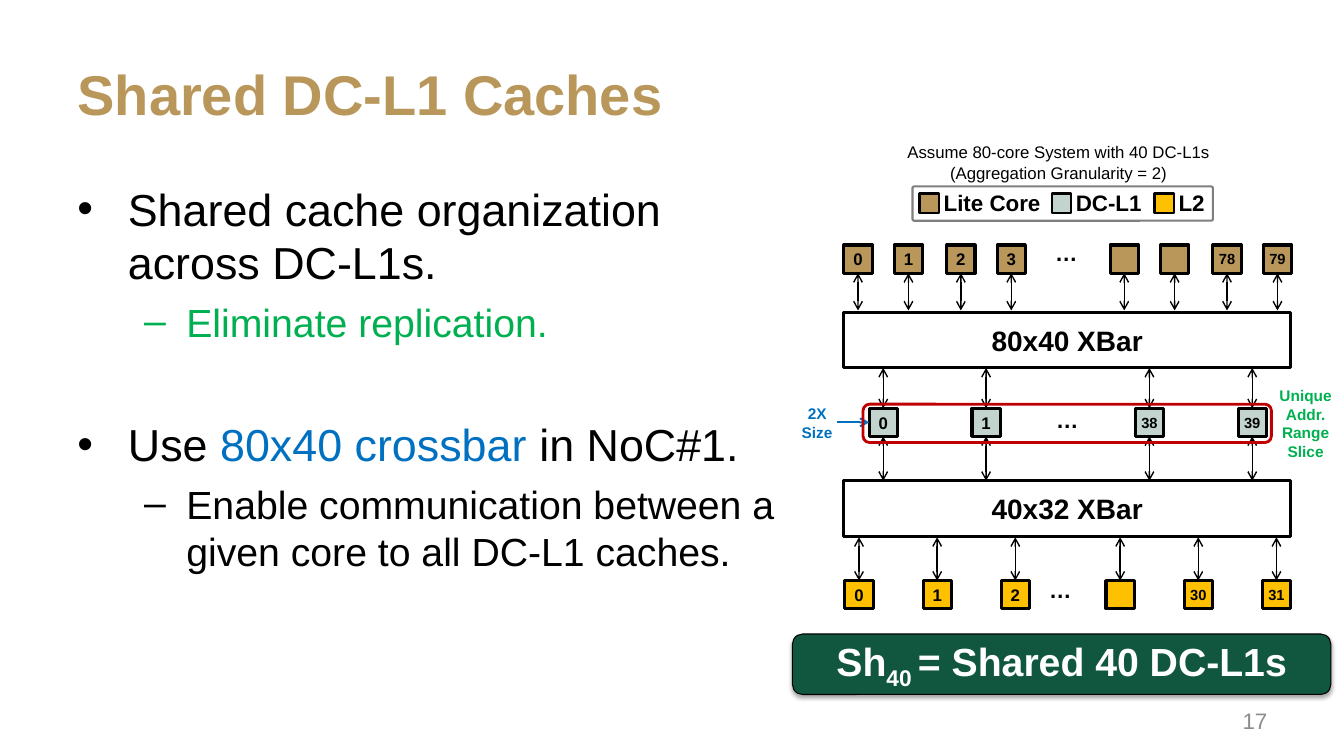
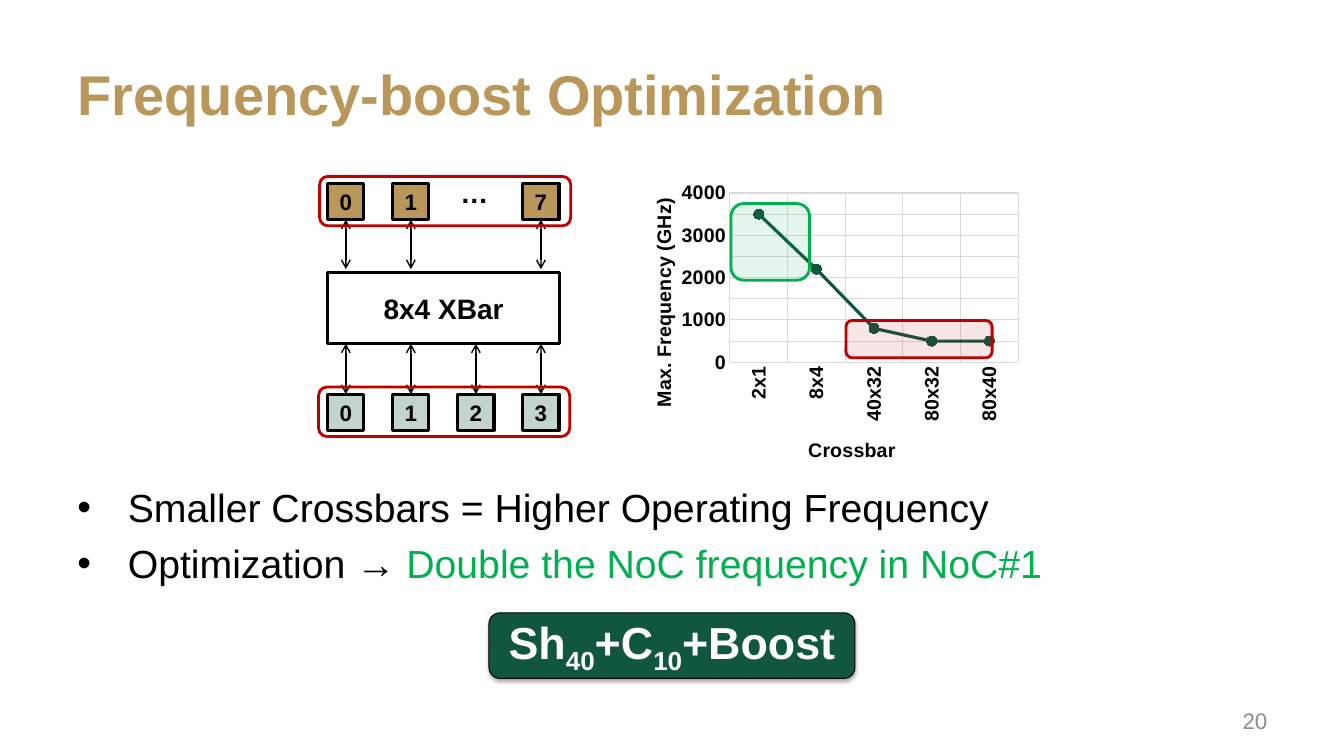
from copy import deepcopy

from lxml import etree
from pptx import Presentation
from pptx import util as u
from pptx.chart import data
from pptx.dml import color
from pptx.enum import chart as charts, shapes, text
from pptx.oxml.ns import qn

FONT = "Arial"
BLACK, WHITE, GRAY = "000000", "FFFFFF", "8C8C8C"
GOLD, FOREST, AMBER = "B9975B", "115740", "FFC000"
GREEN, BLUE, RED, GRID = "00B050", "0070C0", "C00000", "D9D9D9"
LEFT, CENTER, RIGHT = (text.PP_ALIGN.LEFT, text.PP_ALIGN.CENTER,
                       text.PP_ALIGN.RIGHT)
RECT, ROUND = shapes.MSO_SHAPE.RECTANGLE, shapes.MSO_SHAPE.ROUNDED_RECTANGLE
TOP, SIDE, BOTTOM = 0, 1, 2
CACHE = (FOREST, 25)  # colour and opacity in percent


def rgb(value):
    return color.RGBColor.from_string(value)


def add_xml(parent, tag, **values):
    return etree.SubElement(parent, qn(tag), values)


def set_layout(element, index, **values):
    """Place a chart part by fractions of the chart area."""
    old = element.find(qn("c:layout"))
    if old is not None:
        element.remove(old)
    layout = etree.Element(qn("c:layout"))
    element.insert(index, layout)
    manual = add_xml(layout, "c:manualLayout")
    for name, value in values.items():
        add_xml(manual, f"c:{name}", val=str(value))


class Slides:
    def __init__(self):
        self.deck = Presentation()
        self.deck.slide_width = u.Inches(13.33)
        self.deck.slide_height = u.Inches(7.5)
        self.page = None

    def new_page(self, title, number):
        self.page = self.deck.slides.add_slide(self.deck.slide_layouts[5])
        box = self.page.shapes.title
        places = dict(left=0.67, top=0.3, width=12, height=1.25)
        for name, value in places.items():
            setattr(box, name, u.Inches(value))
        box.text_frame.vertical_anchor = text.MSO_ANCHOR.MIDDLE
        self.put_lines(box.text_frame, [title], LEFT, size=40, ink=GOLD)
        self.label([number], 9.56, 6.95, 3.01, 0.4, align=RIGHT, size=16,
                   bold=False, ink=GRAY)

    # Text
    def put_line(self, para, line, align=CENTER, **style):
        """A line is a string or a list of (text, style changes)."""
        para.alignment = align
        spans = [(line, {})] if isinstance(line, str) else line
        for words, changes in spans:
            look = {"name": FONT, "bold": True, "ink": BLACK,
                    **style, **changes}
            span = para.add_run()
            span.text = words
            span.font.color.rgb = rgb(look.pop("ink"))
            if look.pop("sub", False):
                span.font._element.set("baseline", "-25000")
            look["size"] = u.Pt(look["size"])
            for name, value in look.items():
                setattr(span.font, name, value)

    def put_lines(self, frame, lines, align=CENTER, **style):
        for index, line in enumerate(lines):
            para = frame.add_paragraph() if index else frame.paragraphs[0]
            self.put_line(para, line, align, **style)

    def no_margins(self, frame):
        for side in ("left", "top", "right", "bottom"):
            setattr(frame, f"margin_{side}", 0)
        frame.word_wrap = True
        frame.vertical_anchor = text.MSO_ANCHOR.MIDDLE

    def label(self, lines, left, top, width, height, align=CENTER, **style):
        box = self.page.shapes.add_textbox(
            *map(u.Inches, (left, top, width, height)))
        self.no_margins(box.text_frame)
        self.put_lines(box.text_frame, lines, align, **style)

    def bullets(self, items, left, top, width, height):
        """Each item is (line, level, size, space before or None)."""
        box = self.page.shapes.add_textbox(
            *map(u.Inches, (left, top, width, height)))
        frame = box.text_frame
        frame.word_wrap = True
        for index, (line, level, size, gap) in enumerate(items):
            para = frame.add_paragraph() if index else frame.paragraphs[0]
            para.level = level
            para.space_before = u.Pt(gap or round(size * 0.23, 1))
            indent, hang, mark = [(0.5, 0.5, "•"), (1.08, 0.42, "–")][level]
            props = para._p.get_or_add_pPr()
            props.set("marL", str(u.Inches(indent)))
            props.set("indent", str(-u.Inches(hang)))
            add_xml(props, "a:buFont", typeface=FONT)
            add_xml(props, "a:buChar", char=mark)
            self.put_line(para, line, LEFT, size=size, bold=False)

    # Shapes
    def block(self, left, top, width, height, kind=RECT, fill=None,
              line=BLACK, weight=2.25, lines=(), **style):
        box = self.page.shapes.add_shape(
            kind, *map(u.Inches, (left, top, width, height)))
        box.shadow.inherit = False
        box.line.color.rgb = rgb(line)
        box.line.width = u.Pt(weight)
        if fill is None:
            box.fill.background()
        else:
            ink, opacity = fill if isinstance(fill, tuple) else (fill, 100)
            box.fill.solid()
            box.fill.fore_color.rgb = rgb(ink)
            if opacity < 100:
                solid = box._element.spPr.find(qn("a:solidFill"))
                add_xml(solid[0], "a:alpha", val=str(opacity * 1000))
        self.no_margins(box.text_frame)
        self.put_lines(box.text_frame, lines, **style)
        return box

    def frame(self, left, top, width, height, line=RED, fill=None):
        return self.block(left, top, width, height, ROUND, fill, line, 2)

    def banner(self, spans, left, top, width, height, size):
        box = self.block(left, top, width, height, ROUND, FOREST, weight=0.75,
                         lines=[spans], size=size, ink=WHITE)
        effects = box._element.spPr.find(qn("a:effectLst"))
        shadow = add_xml(effects, "a:outerShdw", blurRad=str(u.Pt(3.1)),
                         dist=str(u.Pt(1.8)), dir="5400000", rotWithShape="0")
        shade = add_xml(shadow, "a:srgbClr", val=BLACK)
        add_xml(shade, "a:alpha", val="35000")

    def arrow(self, x1, y1, x2, y2, ink=BLACK, weight=1, both=True):
        line = self.page.shapes.add_connector(
            shapes.MSO_CONNECTOR.STRAIGHT, *map(u.Inches, (x1, y1, x2, y2)))
        line.line.color.rgb = rgb(ink)
        line.line.width = u.Pt(weight)
        ends = line.line._get_or_add_ln()
        if both:
            add_xml(ends, "a:headEnd", type="arrow")
        add_xml(ends, "a:tailEnd", type="arrow")
        add_xml(line._element.spPr, "a:effectLst")
        return line

    def node_row(self, labels, lefts, top, side, fill, size, up=None,
                 down=None):
        """Square nodes, with arrows up and down to the given heights."""
        nodes = []
        for name, left in zip(labels, lefts):
            node = self.block(left, top, side, side, fill=fill,
                              lines=[name] if name else [],
                              size=size if len(name) < 2 else 10.5)
            middle = left + side / 2
            for end, start, site in ((up, top, TOP),
                                     (down, top + side, BOTTOM)):
                if end is not None:
                    line = self.arrow(middle, start, middle, end)
                    line.begin_connect(node, site)
            nodes.append(node)
        return nodes

    # Chart
    def line_chart(self, names, values, left, top, width, height):
        source = data.CategoryChartData()
        source.categories = names
        source.add_series("Series 1", values)
        chart = self.page.shapes.add_chart(
            charts.XL_CHART_TYPE.LINE_MARKERS,
            *map(u.Inches, (left, top, width, height)), source).chart
        chart.has_legend = chart.has_title = False
        look = dict(name=FONT, size=u.Pt(14), bold=True)
        for name, value in look.items():
            setattr(chart.font, name, value)
        chart.font.color.rgb = rgb(BLACK)
        chart.plots[0].vary_by_categories = False
        set_layout(chart._chartSpace.chart.plotArea, 0, layoutTarget="inner",
                   xMode="edge", yMode="edge", x=0.265, y=0.055, w=0.715,
                   h=0.56)

        series = chart.plots[0].series[0]
        series.smooth = False
        series.format.line.color.rgb = rgb(FOREST)
        series.format.line.width = u.Pt(2.25)
        series.marker.style = charts.XL_MARKER_STYLE.CIRCLE
        series.marker.size = 7
        series.marker.format.fill.solid()
        series.marker.format.fill.fore_color.rgb = rgb(FOREST)
        series.marker.format.line.color.rgb = rgb(FOREST)

        across, upward = chart.category_axis, chart.value_axis
        for axis, title, x, y, turn in (
                (across, "Crossbar", 0.45, 0.85, 0),
                (upward, "Max. Frequency (GHz)", 0.06, 0.06, -5400000)):
            axis.major_tick_mark = charts.XL_TICK_MARK.NONE
            axis.has_major_gridlines = True
            grid = axis.major_gridlines.format.line
            grid.color.rgb = rgb(GRID)
            grid.width = u.Pt(0.75)
            axis.format.line.fill.background()
            frame = axis.axis_title.text_frame
            self.put_lines(frame, [title], size=14)
            frame._txBody.bodyPr.set("rot", str(turn))
            set_layout(axis.axis_title._element, 1, xMode="edge",
                       yMode="edge", x=x, y=y)
        across.tick_labels.font.size = u.Pt(14)
        labels = across._element.find(qn("c:txPr"))
        labels.find(qn("a:bodyPr")).set("rot", "-5400000")
        limits = dict(minimum_scale=0, maximum_scale=4000, major_unit=1000,
                      minor_unit=500, has_minor_gridlines=True)
        for name, value in limits.items():
            setattr(upward, name, value)
        major, minor = (upward._element.find(qn(f"c:{kind}Gridlines"))
                        for kind in ("major", "minor"))
        minor.append(deepcopy(major.find(qn("c:spPr"))))


def shared_caches(slides):
    slides.new_page("Shared DC-L1 Caches", "17")
    slides.bullets([
        ("Shared cache organization across DC-L1s.", 0, 32, None),
        ([("Eliminate replication.", {"ink": GREEN})], 1, 28, None),
        ([("Use ", {}), ("80x40 crossbar", {"ink": BLUE}),
          (" in NoC#1.", {})], 0, 32, 51.5),
        ("Enable communication between a given core to all DC-L1 caches.",
         1, 28, None)], 0.67, 1.75, 7.11, 5.01)

    # Caption and legend
    slides.label(["Assume 80-core System with 40 DC-L1s",
                  "(Aggregation Granularity = 2)"],
                 8, 1.36, 5, 0.5, size=12, bold=False)
    legend = slides.block(9.05, 1.85, 2.98, 0.34, ROUND, line="7F7F7F",
                          weight=1.5)
    legend.adjustments[0] = 0.05
    for name, left, fill in (("Lite Core", 9.12, GOLD),
                             ("DC-L1", 10.43, CACHE), ("L2", 11.45, AMBER)):
        slides.block(left, 1.92, 0.19, 0.19, fill=fill, weight=1.5)
        slides.label([name], left + 0.24, 1.82, 1.1, 0.37, LEFT, size=16)

    # Cores, caches and memory slices around two crossbars
    side, halves = 0.28, (8.37, 11.01)
    pairs = [half + step for half in halves for step in (0, 1.02)]
    cores = [pair + step for pair in pairs for step in (0, 0.5)]
    slices = [half + 0.775 * step for half in (8.38, 10.97)
              for step in range(3)]
    slides.node_row(["0", "1", "2", "3", "", "", "78", "79"], cores, 2.43,
                    side, GOLD, 12, down=3.08)
    caches = slides.node_row(["0", "1", "38", "39"],
                             [pair + 0.25 for pair in pairs], 4.05, side,
                             CACHE, 12, up=3.65, down=4.77)
    slides.node_row(["0", "1", "2", "", "30", "31"], slices, 5.76, side,
                    AMBER, 12, up=5.33)
    for name, top in (("80x40 XBar", 3.1), ("40x32 XBar", 4.77)):
        slides.block(8.37, top, 4.43, 0.55, lines=[name], size=20)
    for left, top in ((10.3, 2.23), (10.31, 3.89), (10.24, 5.57)):
        slides.label(["…"], left, top, 0.55, 0.55, size=16)

    # Notes beside the cache row
    slides.label(["2X", "Size"], 7.75, 3.96, 0.71, 0.47, size=11, ink=BLUE)
    pointer = slides.arrow(8.3, 4.19, 8.62, 4.19, BLUE, 1.5, both=False)
    pointer.end_connect(caches[0], SIDE)
    slides.frame(8.56, 4.01, 4.05, 0.38)
    slides.label(["Unique Addr. Range Slice"], 12.6, 3.78, 0.7, 0.84,
                 size=11, ink=GREEN)
    slides.banner([("Sh", {}), ("40 ", {"sub": True}),
                   ("= Shared 40 DC-L1s", {})], 7.86, 6.29, 5.34, 0.6, 28)


def frequency_boost(slides):
    slides.new_page("Frequency-boost Optimization", "20")
    slides.bullets([
        ("Smaller Crossbars = Higher Operating Frequency", 0, 28, None),
        ([("Optimization → ", {}),
          ("Double the NoC frequency in NoC#1", {"ink": GREEN})],
         0, 28, None)], 0.67, 4.75, 12, 2.2)

    # Small crossbar
    side = 0.36
    columns = [3.25 + 0.645 * step for step in range(4)]
    slides.node_row("017", columns[:2] + columns[3:], 1.82, side, GOLD, 16,
                    down=2.67)
    slides.node_row("0123", columns, 3.91, side, CACHE, 16, up=3.41)
    slides.block(3.25, 2.7, 2.3, 0.71, lines=["8x4 XBar"], size=20)
    slides.label(["…"], 4.35, 1.55, 0.71, 0.71, size=20)
    for left, top in ((3.17, 1.75), (3.16, 3.84)):
        slides.frame(left, top, 2.49, 0.49)

    # Frequency by crossbar size
    slides.line_chart(["2x1", "8x4", "40x32", "80x32", "80x40"],
                      [3500, 2200, 800, 500, 500], 6.18, 1.75, 4, 3)
    slides.frame(8.39, 3.18, 1.45, 0.37, RED, (RED, 10))
    slides.frame(7.25, 2.02, 0.78, 0.76, GREEN, (GREEN, 10))
    slides.banner([("Sh", {}), ("40", {"sub": True}), ("+C", {}),
                   ("10", {"sub": True}), ("+Boost", {})],
                  4.85, 6.08, 3.63, 0.65, 32)


def main():
    slides = Slides()
    shared_caches(slides)
    frequency_boost(slides)
    slides.deck.save("out.pptx")


if __name__ == "__main__":
    main()
